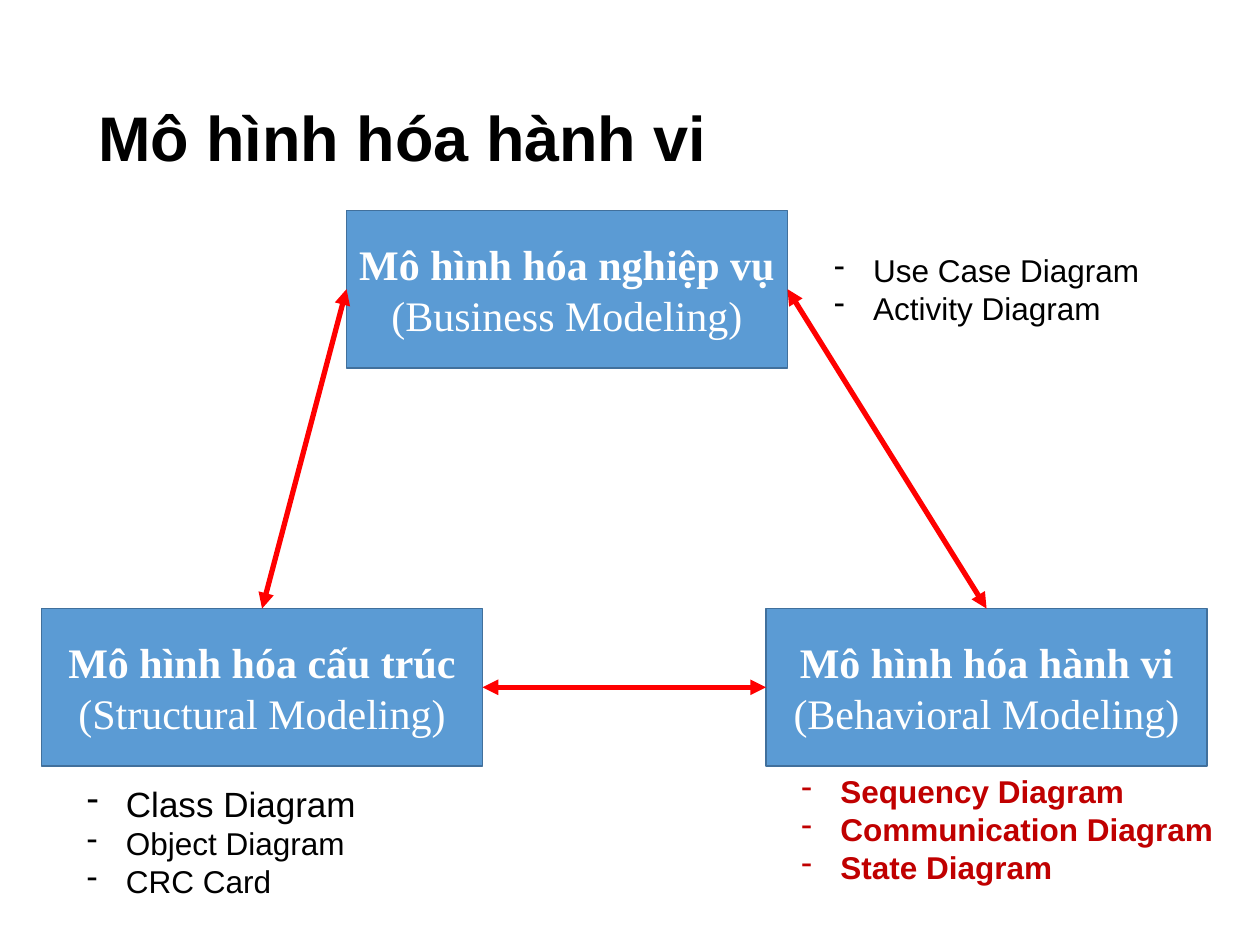
from lxml import etree
from pptx import Presentation
from pptx.dml.color import RGBColor
from pptx.enum import shapes, text
from pptx.oxml import ns
from pptx.util import Inches, Pt

BLACK = RGBColor(0x00, 0x00, 0x00)
WHITE = RGBColor(0xFF, 0xFF, 0xFF)
BLUE = RGBColor(0x5B, 0x9B, 0xD4)
BLUE_EDGE = RGBColor(0x41, 0x70, 0x9C)
RED = RGBColor(0xFF, 0x00, 0x00)
DARK_RED = RGBColor(0xC0, 0x00, 0x00)

TOP, LEFT, BOTTOM, RIGHT = range(4)  # connection sites of a rectangle
MODEL_SIZE = (3.5, 1.25)


def place(shape, box):
    shape.left, shape.top, shape.width, shape.height = map(Inches, box)


def set_margins(frame, top=0.0):
    frame.margin_left = frame.margin_right = frame.margin_bottom = 0
    frame.margin_top = Inches(top)


def set_font(paragraph, name, size, color, bold=False):
    font = paragraph.font
    font.name, font.size, font.bold = name, Pt(size), bold
    font.color.rgb = color


def add_title(slide, box, wording):
    title = slide.shapes.title
    place(title, box)
    frame = title.text_frame
    frame.text = wording
    frame.auto_size = text.MSO_AUTO_SIZE.NONE
    frame.vertical_anchor = text.MSO_ANCHOR.MIDDLE
    set_margins(frame)
    heading = frame.paragraphs[0]
    heading.alignment = text.PP_ALIGN.LEFT
    heading.space_before = Pt(0)
    set_font(heading, "Arial", 36, BLACK, bold=True)


def add_model(slide, box, name, english):
    model = slide.shapes.add_shape(shapes.MSO_SHAPE.RECTANGLE, *map(Inches, box))
    model.shadow.inherit = False
    model.fill.solid()
    model.fill.fore_color.rgb = BLUE
    model.line.color.rgb = BLUE_EDGE
    model.line.width = Pt(0.96)
    frame = model.text_frame
    frame.text = f"{name}\n{english}"
    frame.word_wrap = True
    frame.vertical_anchor = text.MSO_ANCHOR.MIDDLE
    set_margins(frame)
    for paragraph, bold in zip(frame.paragraphs, (True, False)):
        paragraph.alignment = text.PP_ALIGN.CENTER
        set_font(paragraph, "Times New Roman", 24, WHITE, bold)
    return model


def add_double_arrow(slide, start, start_site, end, end_site):
    arrow = slide.shapes.add_connector(shapes.MSO_CONNECTOR.STRAIGHT, 0, 0, 0, 0)
    arrow.begin_connect(start, start_site)
    arrow.end_connect(end, end_site)
    arrow.line.color.rgb = RED
    arrow.line.width = Pt(3)
    line = arrow.line._get_or_add_ln()
    for tag in ("a:headEnd", "a:tailEnd"):
        etree.SubElement(line, ns.qn(tag), type="triangle")
    etree.SubElement(arrow._element.spPr, ns.qn("a:effectLst"))


def add_diagram_list(slide, box, diagrams, color=BLACK, bold=False):
    """diagrams is a list of (wording, size) pairs."""
    frame = slide.shapes.add_textbox(*map(Inches, box)).text_frame
    frame.word_wrap = True
    set_margins(frame, top=0.02)
    frame.text = "\n".join(wording for wording, _ in diagrams)
    for paragraph, (_, size) in zip(frame.paragraphs, diagrams):
        set_font(paragraph, "Arial", size, color, bold)
        # Hanging dash bullet
        properties = paragraph._p.get_or_add_pPr()
        properties.set("marL", str(Inches(0.33)))
        properties.set("indent", str(Inches(-0.31)))
        bullet = etree.Element(ns.qn("a:buChar"), char="-")
        properties.insert(0, bullet)


def main():
    prs = Presentation()
    prs.slide_width, prs.slide_height = Inches(10), Inches(7.5)
    slide = prs.slides.add_slide(prs.slide_layouts[5])

    add_title(slide, (0.78, 0.77, 4.95, 0.63), "Mô hình hóa hành vi")

    # Three kinds of modeling
    business = add_model(slide, (2.75, 1.67, *MODEL_SIZE),
                         "Mô hình hóa nghiệp vụ", "(Business Modeling)")
    structural = add_model(slide, (0.33, 4.83, *MODEL_SIZE),
                           "Mô hình hóa cấu trúc", "(Structural Modeling)")
    behavioral = add_model(slide, (6.08, 4.83, *MODEL_SIZE),
                           "Mô hình hóa hành vi", "(Behavioral Modeling)")

    # Links between them
    add_double_arrow(slide, business, RIGHT, behavioral, TOP)
    add_double_arrow(slide, business, LEFT, structural, TOP)
    add_double_arrow(slide, structural, RIGHT, behavioral, LEFT)

    # Diagrams that belong to each kind
    add_diagram_list(slide, (6.6, 1.97, 2.45, 0.63),
                     [("Use Case Diagram", 18), ("Activity Diagram", 18)])
    add_diagram_list(slide, (0.67, 6.19, 2.17, 0.96),
                     [("Class Diagram", 20), ("Object Diagram", 18), ("CRC Card", 18)])
    add_diagram_list(slide, (6.34, 6.11, 3.36, 0.93),
                     [("Sequency Diagram", 18), ("Communication Diagram", 18),
                      ("State Diagram", 18)], DARK_RED, bold=True)

    prs.save("out.pptx")


if __name__ == "__main__":
    main()
